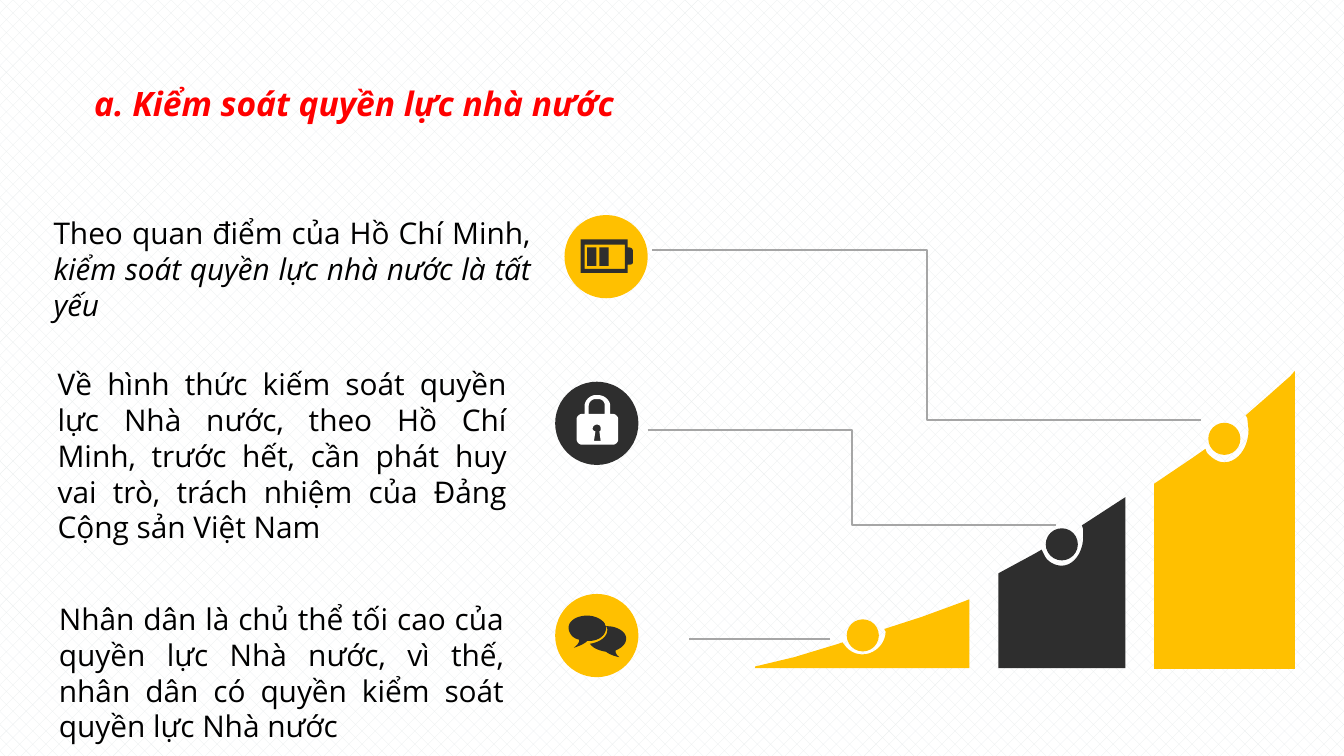
from dataclasses import dataclass
from typing import NamedTuple

from lxml.etree import SubElement
from pptx import Presentation
from pptx.dml.color import RGBColor
from pptx.enum.dml import MSO_PATTERN
from pptx.enum.shapes import MSO_CONNECTOR as Connector, MSO_SHAPE as Preset
from pptx.enum.text import MSO_ANCHOR as Anchor, MSO_AUTO_SIZE as AutoSize, PP_ALIGN as Align
from pptx.oxml.ns import qn
from pptx.util import Pt


@dataclass(frozen=True)
class Theme:
    font: str = "Open Sans"
    title_size: float = 18
    body_size: float = 16
    gold: str = "FFC000"
    dark: str = "2E2E2E"
    white: str = "FFFFFF"
    pattern: str = "E9EDEE"
    rule: str = "A6A6A6"
    title: str = "FF0000"
    body: str = "000000"


THEME = Theme()


class Outline(NamedTuple):
    color: str
    contours: list


class Badge(NamedTuple):
    left: float
    top: float
    color: str
    outlines: list
    cells: list


class Bar(NamedTuple):
    outline: Outline
    dot_left: float
    dot_top: float


class Link(NamedTuple):
    kind: Connector
    start: tuple
    end: tuple


class Note(NamedTuple):
    left: float
    top: float
    width: float
    height: float
    text: str
    emphasis: str = ""


BATTERY = Outline(THEME.dark, [
    [(336.2, 132.5), (336.2, 128.2), (311, 128.2), (311, 146.2), (336.2, 146.2), (336.2, 141.8),
     (337.7, 141.8, 339.1, 141.8, 339.1, 140.4), (339.1, 134.6),
     (339.1, 132.5, 337, 132.5, 336.2, 132.5)],
    [(334.8, 144), (313.2, 144), (313.2, 131), (334.8, 131)],
])
PADLOCK = Outline(THEME.white, [
    [(328.3, 221.8), (326.9, 221.8), (326.9, 217.4), (326.9, 214.6, 324, 211.7, 320.4, 211.7),
     (319, 211.7), (316.1, 211.7, 313.2, 214.6, 313.2, 217.4), (313.2, 221.8), (311.8, 221.8),
     (310.3, 221.8, 308.9, 223.2, 308.9, 224.6), (308.9, 235.4),
     (308.9, 236.9, 310.3, 238.3, 311.8, 238.3), (328.3, 238.3),
     (329.8, 238.3, 331.2, 236.9, 331.2, 235.4), (331.2, 224.6),
     (331.2, 223.2, 329.8, 221.8, 328.3, 221.8)],
    [(321.8, 236.2), (318.2, 236.2), (319, 231.1), (318.2, 231.1, 317.5, 230.4, 317.5, 229.7),
     (317.5, 228.2, 319, 227.5, 319.7, 227.5), (321.1, 227.5, 321.8, 228.2, 321.8, 229.7),
     (321.8, 230.4, 321.8, 231.1, 321.1, 231.1)],
    [(324, 221.8), (315.4, 221.8), (315.4, 217.4), (315.4, 215.3, 317.5, 213.8, 319, 213.8),
     (320.4, 213.8), (322.6, 213.8, 324, 215.3, 324, 217.4)],
])
BACK_BUBBLE = Outline(THEME.dark, [
    [(335.5, 342), (335.5, 338.4, 330.5, 335.5, 325.4, 335.5), (324.7, 335.5),
     (325.4, 336.2, 325.4, 337, 325.4, 337.7), (325.4, 341.3, 321.1, 344.2, 316.1, 344.9),
     (317.5, 347, 320.4, 348.5, 324.7, 349.2), (327.6, 351.4, 331.9, 352.1, 331.9, 352.1),
     (329.8, 350.6, 329.8, 349.2, 329.8, 348.5), (333.4, 347, 335.5, 344.9, 335.5, 342)],
])
FRONT_BUBBLE = Outline(THEME.dark, [
    [(324, 334.1), (322.6, 331.9, 319, 329.8, 314.6, 329.8),
     (308.9, 329.8, 304.6, 332.6, 304.6, 336.2), (304.6, 339.1, 306.7, 342, 310.3, 342.7),
     (310.3, 343.4, 310.3, 344.9, 307.4, 347), (307.4, 347, 312.5, 345.6, 314.6, 343.4),
     (315.4, 343.4), (320.4, 343.4, 324.7, 340.6, 324.7, 336.2),
     (324.7, 335.5, 324, 334.8, 324, 334.1)],
])
BADGES = [
    Badge(297.4, 204.5, THEME.dark, [PADLOCK], []),
    Badge(302.4, 115.2, THEME.gold, [BATTERY], [314.6, 321.1]),
    Badge(297.4, 318.2, THEME.gold, [BACK_BUBBLE, FRONT_BUBBLE], []),
]
BARS = [
    Bar(Outline(THEME.gold, [
        [(693.7, 198.7), (693.7, 358.4), (618.3, 358.4), (618.3, 259.2), (638.6, 245.5),
         (645.8, 240.5), (646.6, 242.6), (649.4, 245.5, 652.3, 247.7, 655.9, 247.7),
         (663.1, 247.7, 668.9, 239.8, 668.9, 230.4), (668.2, 223.9), (667.4, 222.5),
         (679, 212.4), (691.2, 201.6)]]), 647.3, 226.5),
    Bar(Outline(THEME.dark, [
        [(602.8, 266.4), (602.8, 357.9), (534.8, 357.9), (534.8, 307.2), (554.4, 296.6),
         (558, 294.5), (560.2, 298.8), (562.3, 301.7, 565.9, 303.1, 568.8, 303.1),
         (575.3, 303.1, 580.3, 295.9, 580.3, 287.3), (580.3, 283.7), (579.6, 281.5)]]),
        560.2, 283),
    Bar(Outline(THEME.gold, [
        [(519.3, 321.1), (519.3, 357.9), (404.6, 357.9), (404.6, 357.1), (425.5, 352.1),
         (449.3, 344.9), (451.4, 344.2), (453.6, 347), (455.8, 349.2, 458.6, 350.6, 462.2, 350.6),
         (468.7, 350.6, 474.5, 344.9, 474.5, 338.4), (473.8, 337), (493.9, 330.5),
         (515.5, 322.6)]]), 453.6, 331.8),
]
LINKS = [
    Link(Connector.ELBOW, (347, 230.2), (565.9, 281.5)),
    Link(Connector.ELBOW, (349.4, 133.9), (643.5, 225.2)),
    Link(Connector.STRAIGHT, (444.8, 342.5), (369.2, 342.5)),
]
NOTES = [
    Note(21.6, 111.6, 270, 65.5, "Theo quan điểm của Hồ Chí Minh, ",
         "kiểm soát quyền lực nhà nước là tất yếu"),
    Note(23.8, 192.4, 254.9, 104.4,
         "Về hình thức kiếm soát quyền lực Nhà nước, theo Hồ Chí Minh, trước hết, cần phát huy "
         "vai trò, trách nhiệm của Đảng Cộng sản Việt Nam"),
    Note(24.5, 318.2, 252.7, 85,
         "Nhân dân là chủ thể tối cao của quyền lực Nhà nước, vì thế, nhân dân có quyền "
         "kiểm soát quyền lực Nhà nước"),
]
BADGE_SIZE = 44.6
DOT_SIZE = 17.2
CURVE_STEPS = 10


def paint(shape, color: str) -> None:
    shape.shadow.inherit = False
    shape.fill.solid()
    shape.fill.fore_color.rgb = RGBColor.from_string(color)
    shape.line.fill.background()


def add_preset(shapes, preset, left: float, top: float, width: float, height: float,
               color: str) -> None:
    paint(shapes.add_shape(preset, Pt(left), Pt(top), Pt(width), Pt(height)), color)


def flatten(contour: list) -> list:
    points = [contour[0]]
    for segment in contour[1:]:
        if len(segment) == 2:
            points.append(segment)
            continue
        controls = [points[-1], segment[:2], segment[2:4], segment[4:]]
        for step in range(1, CURVE_STEPS + 1):
            t = step / CURVE_STEPS
            weights = ((1 - t) ** 3, 3 * t * (1 - t) ** 2, 3 * t ** 2 * (1 - t), t ** 3)
            points.append(tuple(sum(w * c[axis] for w, c in zip(weights, controls))
                                for axis in (0, 1)))
    return points


def add_outline(shapes, outline: Outline) -> None:
    contours = [[(Pt(x), Pt(y)) for x, y in flatten(contour)] for contour in outline.contours]
    builder = shapes.build_freeform(*contours[0][0])
    builder.add_line_segments(contours[0][1:], close=True)
    for contour in contours[1:]:
        builder.move_to(*contour[0])
        builder.add_line_segments(contour[1:], close=True)
    paint(builder.convert_to_shape(), outline.color)


def add_badge(slide, badge: Badge) -> None:
    shapes = slide.shapes.add_group_shape().shapes
    add_preset(shapes, Preset.OVAL, badge.left, badge.top, BADGE_SIZE, BADGE_SIZE, badge.color)
    for outline in badge.outlines:
        add_outline(shapes, outline)
    for left in badge.cells:
        add_preset(shapes, Preset.RECTANGLE, left, 132.5, 5, 10, THEME.dark)


def add_link(slide, link: Link) -> None:
    ends = [Pt(value) for value in link.start + link.end]
    connector = slide.shapes.add_connector(link.kind, *ends)
    connector.line.color.rgb = RGBColor.from_string(THEME.rule)
    connector.line.width = Pt(1)
    SubElement(connector._element.spPr, qn("a:effectLst"))


def write_text(paragraph, text: str, *, size: float = THEME.body_size, color: str = THEME.body,
               bold: bool = False, italic: bool = False) -> None:
    run = paragraph.add_run()
    run.text = text
    font = run.font
    font.name, font.size, font.bold, font.italic = THEME.font, Pt(size), bold, italic
    font.color.rgb = RGBColor.from_string(color)


def add_note(slide, note: Note) -> None:
    box = slide.shapes.add_textbox(Pt(note.left), Pt(note.top), Pt(note.width), Pt(note.height))
    frame = box.text_frame
    frame.word_wrap = True
    frame.auto_size = AutoSize.SHAPE_TO_FIT_TEXT
    paragraph = frame.paragraphs[0]
    paragraph.alignment = Align.JUSTIFY
    write_text(paragraph, note.text)
    if note.emphasis:
        write_text(paragraph, note.emphasis, italic=True)


def set_title(slide) -> None:
    title = slide.shapes.title
    title.left, title.top, title.width, title.height = Pt(7.2), Pt(37.4), Pt(362.2), Pt(31)
    frame = title.text_frame
    frame.word_wrap = True
    frame.auto_size = AutoSize.NONE
    frame.vertical_anchor = Anchor.TOP
    frame.margin_left = Pt(43.2)
    paragraph = frame.paragraphs[0]
    paragraph.alignment = Align.LEFT
    paragraph.line_spacing = 1.15
    write_text(paragraph, "a. Kiểm soát quyền lực nhà nước", size=THEME.title_size,
               color=THEME.title, bold=True, italic=True)


def main() -> None:
    presentation = Presentation()
    presentation.slide_width, presentation.slide_height = Pt(720), Pt(405)
    slide = presentation.slides.add_slide(presentation.slide_layouts[5])
    background = slide.background.fill
    background.patterned()
    background.pattern = MSO_PATTERN.PERCENT_30
    background.fore_color.rgb = RGBColor.from_string(THEME.pattern)
    background.back_color.rgb = RGBColor.from_string(THEME.white)
    set_title(slide)
    for link in LINKS:
        add_link(slide, link)
    for badge in BADGES:
        add_badge(slide, badge)
    for bar in BARS:
        add_outline(slide.shapes, bar.outline)
        add_preset(slide.shapes, Preset.OVAL, bar.dot_left, bar.dot_top, DOT_SIZE, DOT_SIZE,
                   bar.outline.color)
    for note in NOTES:
        add_note(slide, note)
    presentation.save("out.pptx")


if __name__ == "__main__":
    main()
